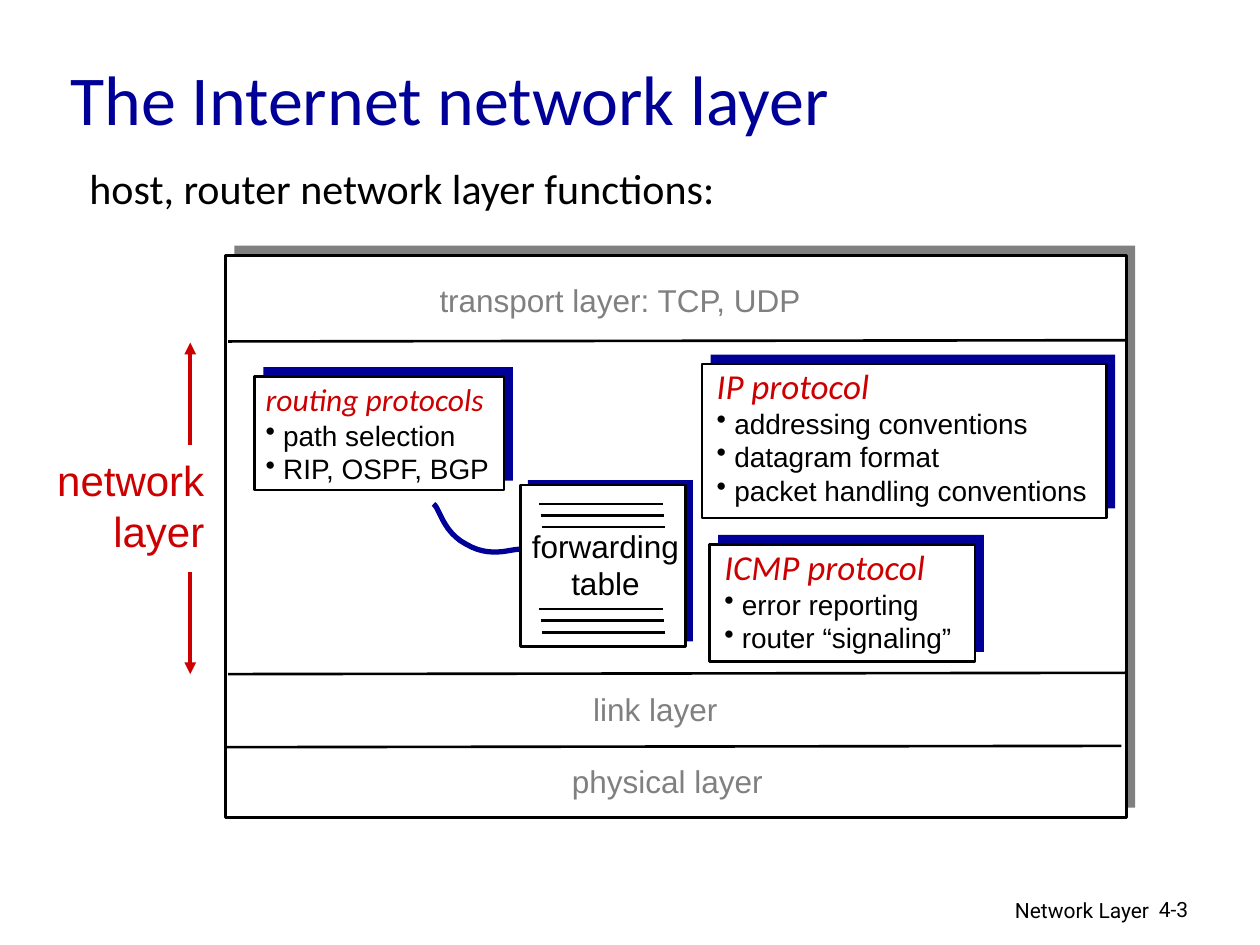
from dataclasses import dataclass
from pptx import Presentation
from pptx.dml.color import RGBColor
from pptx.enum.shapes import MSO_CONNECTOR as Connector, MSO_SHAPE as Preset
from pptx.enum.text import MSO_ANCHOR as Anchor, MSO_AUTO_SIZE as AutoSize, PP_ALIGN as Align
from pptx.oxml.ns import qn
from pptx.util import Inches, Pt
from lxml.etree import SubElement


@dataclass(frozen=True)
class Theme:
    navy: str = "000099"
    red: str = "CC0000"
    gray: str = "808080"
    black: str = "000000"
    white: str = "FFFFFF"
    heading_font: str = "Calibri"
    label_font: str = "Arial"
    footer_font: str = "Roboto"
    title: int = 40
    large: int = 24
    heading: int = 20
    label: int = 18
    item: int = 16
    footer: int = 12
    thin: float = 1.5
    arrow: float = 2.25
    thick: float = 3


THEME = Theme()
COLUMNS, ROWS = 100, 75
WIDTH, HEIGHT = Inches(10), Inches(7.5)


def x(columns):
    return round(WIDTH * columns / COLUMNS)


def y(rows):
    return round(HEIGHT * rows / ROWS)


def area(left, top, width, height):
    return x(left), y(top), x(width), y(height)


def color(code):
    return RGBColor.from_string(code)


def add_span(para, text, font, size, ink, italic=False):
    span = para.add_run()
    span.text = text
    span.font.name, span.font.size = font, Pt(size)
    span.font.color.rgb = color(ink)
    span.font.italic = italic


def set_bullet(para, margin, indent, symbol=None):
    props = para._p.get_or_add_pPr()
    props.set("marL", str(x(margin)))
    props.set("indent", str(x(indent)))
    if symbol is None:
        SubElement(props, qn("a:buNone"))
        return
    ink = SubElement(props, qn("a:buClr"))
    SubElement(ink, qn("a:srgbClr")).set("val", THEME.black)
    SubElement(props, qn("a:buChar")).set("char", symbol)


def fill_placeholder(box, place, text, size, ink, anchor):
    box.left, box.top, box.width, box.height = area(*place)
    frame = box.text_frame
    frame.auto_size, frame.vertical_anchor = AutoSize.NONE, anchor
    para = frame.paragraphs[0]
    para.alignment = Align.LEFT
    add_span(para, text, THEME.heading_font, size, ink)
    return para


def add_box(page, place, wrap=False):
    frame = page.shapes.add_textbox(*area(*place)).text_frame
    frame.word_wrap = wrap
    frame.auto_size = AutoSize.NONE if wrap else AutoSize.SHAPE_TO_FIT_TEXT
    return frame


def add_label(page, place, lines, size, ink, align=Align.LEFT, font=THEME.label_font, wrap=False):
    frame = add_box(page, place, wrap)
    for index, text in enumerate(lines):
        para = frame.add_paragraph() if index else frame.paragraphs[0]
        para.alignment = align
        add_span(para, text, font, size, ink)


def add_protocol(page, place, heading, size, items):
    frame = add_box(page, place)
    add_span(frame.paragraphs[0], heading, THEME.heading_font, size, THEME.red, True)
    for item in items:
        para = frame.add_paragraph()
        set_bullet(para, 0, -1.1, "•")
        add_span(para, " " + item, THEME.label_font, THEME.item, THEME.black)


def add_rectangle(page, place, fill):
    box = page.shapes.add_shape(Preset.RECTANGLE, *area(*place))
    box.shadow.inherit = False
    box.fill.solid()
    box.fill.fore_color.rgb = color(fill)
    return box


def add_panel(page, place, backing, shift):
    left, top, width, height = place
    back = add_rectangle(page, (left + shift[0], top + shift[1], width, height), backing)
    back.line.fill.background()
    front = add_rectangle(page, place, THEME.white)
    front.line.color.rgb = color(THEME.black)
    front.line.width = Pt(THEME.thin)


def add_line(page, start, end, ink=THEME.black, weight=THEME.thin, arrow=False):
    rule = page.shapes.add_connector(
        Connector.STRAIGHT, x(start[0]), y(start[1]), x(end[0]), y(end[1]))
    rule.line.color.rgb = color(ink)
    rule.line.width = Pt(weight)
    if arrow:
        SubElement(rule.line._get_or_add_ln(), qn("a:tailEnd")).set("type", "triangle")
    SubElement(rule._element.spPr, qn("a:effectLst"))


def bezier(points, share):
    while len(points) > 1:
        points = [tuple(a + (b - a) * share for a, b in zip(first, second))
                  for first, second in zip(points, points[1:])]
    return points[0]


def add_curve(page, segments, steps=12):
    points = [bezier(segment, step / steps)
              for segment in segments for step in range(1, steps + 1)]
    start = segments[0][0]
    builder = page.shapes.build_freeform(x(start[0]), y(start[1]))
    builder.add_line_segments([(x(a), y(b)) for a, b in points], close=False)
    curve = builder.convert_to_shape()
    curve.shadow.inherit = False
    curve.fill.background()
    curve.line.color.rgb = color(THEME.navy)
    curve.line.width = Pt(THEME.thick)


def add_stack(page):
    add_panel(page, (17.9, 20.3, 71.5, 44.6), THEME.gray, (0.7, -0.8))
    for left, right, row in ((18.1, 89.5, 27.1), (18.1, 89.5, 53.5), (17.8, 89, 59.3)):
        add_line(page, (left, row), (right, row - 0.1))
    for place, text in (((33.9, 21.8, 31, 4), "transport layer: TCP, UDP"),
                        ((46.1, 54.3, 11.9, 4), "link layer"),
                        ((44.4, 60, 17.2, 4), "physical layer")):
        add_label(page, place, [text], THEME.label, THEME.gray)


def add_forwarding_table(page):
    add_panel(page, (41.3, 38.5, 13.1, 12.8), THEME.navy, (0.6, -0.4))
    add_label(page, (41.2, 41.3, 13.7, 7), ["forwarding", "table"],
              THEME.label, THEME.black, Align.CENTER)
    for top in (40, 48.35):
        for index in range(3):
            left, row = 42.8 + index * 0.1, top + index * 0.92
            add_line(page, (left, row), (left + 9.8, row))


def add_protocols(page):
    for panel, place, heading, size, items in (
        ((20.2, 29.9, 19.8, 9), (20.1, 29.7, 20.3, 9.4), "routing protocols", THEME.label,
         ("path selection", "RIP, OSPF, BGP")),
        ((55.7, 28.9, 32.1, 12.2), (55.9, 28.4, 31.4, 12.4), "IP protocol", THEME.heading,
         ("addressing conventions", "datagram format", "packet handling conventions")),
        ((56.3, 43.2, 21.1, 9.3), (56.5, 42.8, 20.8, 9.7), "ICMP protocol", THEME.heading,
         ("error reporting", "router “signaling”")),
    ):
        add_panel(page, panel, THEME.navy, (0.7, -0.75))
        add_protocol(page, place, heading, size, items)


def add_layer_marker(page):
    add_label(page, (3.5, 35.6, 13.7, 9), ["network", "layer"],
              THEME.large, THEME.red, Align.RIGHT)
    for start, end in ((35.3, 27.2), (45.4, 53.5)):
        add_line(page, (15.1, start), (15.1, end), THEME.red, THEME.arrow, True)


def add_footer(page):
    for place, text, align in (((60.5, 70.7, 31.7, 3.1), "Network Layer", Align.RIGHT),
                               ((91, 70.7, 7.4, 3), "4-3", Align.LEFT)):
        add_label(page, place, [text], THEME.footer, THEME.black, align, THEME.footer_font, True)


def main():
    deck = Presentation()
    deck.slide_width, deck.slide_height = WIDTH, HEIGHT
    page = deck.slides.add_slide(deck.slide_layouts[1])
    fill_placeholder(page.shapes.title, (4.6, 1.5, 85, 12.5), "The Internet network layer",
                     THEME.title, THEME.navy, Anchor.MIDDLE)
    para = fill_placeholder(page.placeholders[1], (6.1, 13, 82.4, 4.8),
                            "host, router network layer functions:",
                            THEME.large, THEME.black, Anchor.TOP)
    set_bullet(para, 3.8, -3.8)
    para.line_spacing, para.space_before = 0.85, Pt(0)
    add_footer(page)
    add_stack(page)
    add_forwarding_table(page)
    add_protocols(page)
    add_curve(page, [[(34.4, 40), (34.9, 40.3), (35.1, 42.2), (37, 43.2)],
                     [(37, 43.2), (38.9, 44.3), (40.4, 43.6), (41.2, 43.6)]])
    add_layer_marker(page)
    deck.save("out.pptx")


if __name__ == "__main__":
    main()
